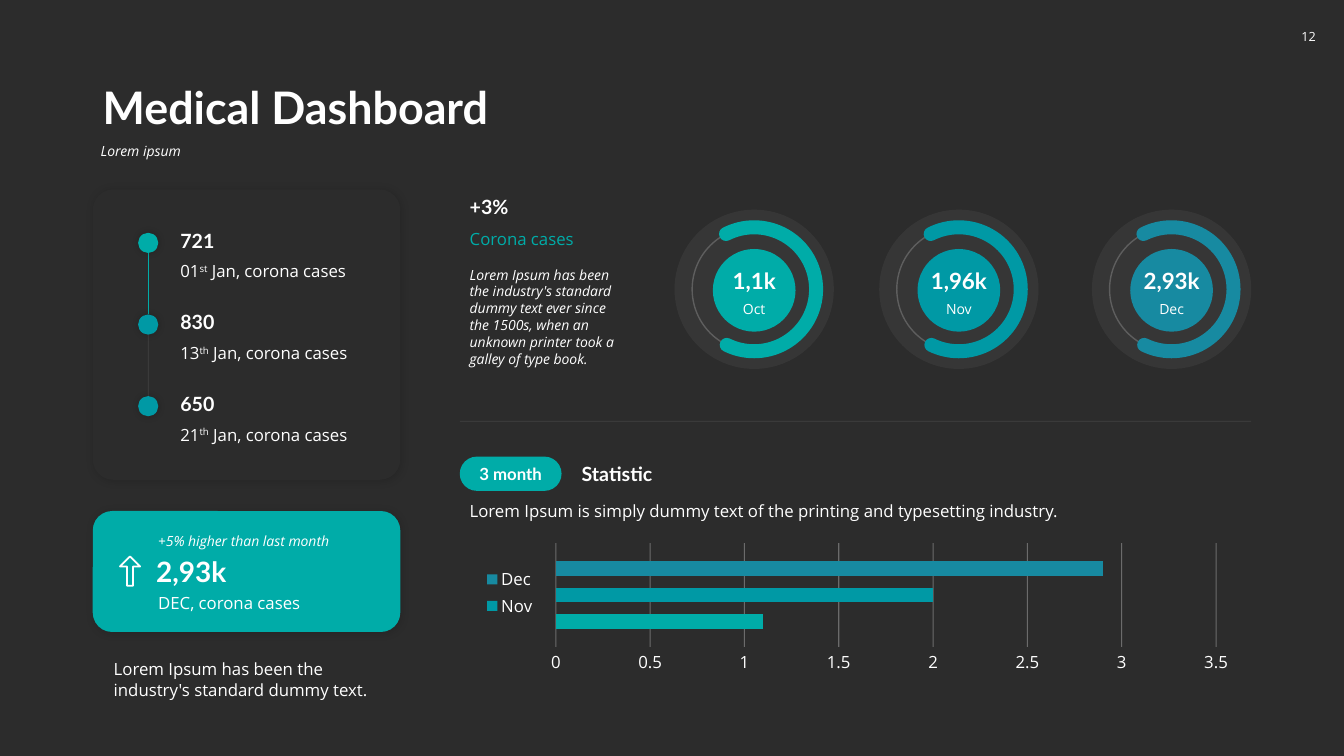
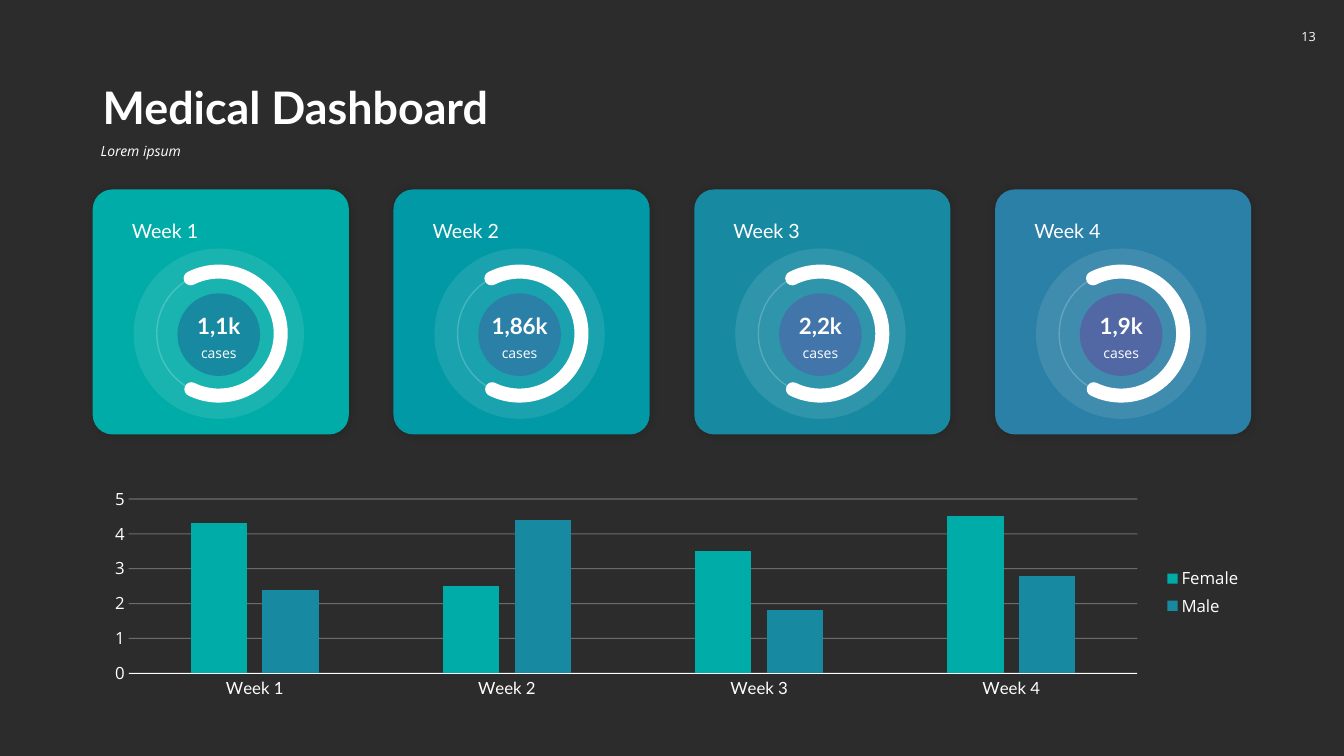
from lxml import etree
from pptx import Presentation
from pptx.chart.data import CategoryChartData
from pptx.dml.color import RGBColor
from pptx.enum.chart import XL_CHART_TYPE, XL_LEGEND_POSITION, XL_TICK_MARK
from pptx.enum.shapes import MSO_CONNECTOR, MSO_SHAPE
from pptx.enum.text import MSO_ANCHOR, PP_ALIGN
from pptx.oxml.ns import qn
from pptx.util import Inches, Pt

ROUNDED, OVAL, ARC = MSO_SHAPE.ROUNDED_RECTANGLE, MSO_SHAPE.OVAL, MSO_SHAPE.ARC
UP_ARROW = MSO_SHAPE.UP_ARROW
STRAIGHT = MSO_CONNECTOR.STRAIGHT
TOP, MIDDLE, BOTTOM = MSO_ANCHOR.TOP, MSO_ANCHOR.MIDDLE, MSO_ANCHOR.BOTTOM
LEFT, CENTER = PP_ALIGN.LEFT, PP_ALIGN.CENTER
BARS, COLUMNS = XL_CHART_TYPE.BAR_CLUSTERED, XL_CHART_TYPE.COLUMN_CLUSTERED
LEGEND_LEFT, LEGEND_RIGHT = XL_LEGEND_POSITION.LEFT, XL_LEGEND_POSITION.RIGHT
NO_TICKS = XL_TICK_MARK.NONE

HEAD_FONT, BODY_FONT = "Lato", "Open Sans"
DARK, WHITE = "2C2C2C", "FFFFFF"
TEAL, CYAN, OCEAN, BLUE = "00ACA8", "0099A5", "178AA1", "2A80A6"
INDIGO, VIOLET = "4276AA", "5268A5"
MARGIN, RIGHT_EDGE = 0.92, 12.41
CARD_SHADOW = (15, 6, 1)  # opacity %, blur pt, distance pt
DOT_SHADOW = (20, 5, 0)


# --- Formatting helpers ---
def rgb(color):
    return RGBColor.from_string(color)


def paint(fill, color):
    fill.solid()
    fill.fore_color.rgb = rgb(color)


def fade(element, percent):
    for color in element.iter(qn("a:srgbClr")):
        etree.SubElement(color, qn("a:alpha"), val=str(percent * 1000))


def add_shadow(shape, opacity, blur, distance):
    effects = shape.element.spPr.find(qn("a:effectLst"))
    outer = etree.SubElement(effects, qn("a:outerShdw"), blurRad=str(Pt(blur)),
                             dist=str(Pt(distance)), dir=str(45 * 60000))
    etree.SubElement(outer, qn("a:srgbClr"), val="000000")
    fade(outer, opacity)


def style(font, size, name=BODY_FONT, color=WHITE):
    font.size, font.name = Pt(size), name
    font.color.rgb = rgb(color)


def write(frame, text, size=12, font=BODY_FONT, color=WHITE, bold=False,
          italic=False, align=LEFT, anchor=TOP, spacing=None, wrap=True):
    """Parts between carets are set as superscript."""
    frame.word_wrap = wrap
    frame.vertical_anchor = anchor
    paragraph = frame.paragraphs[0]
    paragraph.alignment = align
    paragraph.line_spacing = spacing
    for index, part in enumerate(text.split("^")):
        run = paragraph.add_run()
        run.text = part
        style(run.font, size, font, color)
        run.font.bold, run.font.italic = bold, italic
        if index % 2:
            run._r.get_or_add_rPr().set("baseline", "30000")


# --- Element builders ---
def add_text(slide, text, x, y, w, h, **style_args):
    box = slide.shapes.add_textbox(Inches(x), Inches(y), Inches(w), Inches(h))
    write(box.text_frame, text, **style_args)


def add_heading(slide, text, x, y, w, h=0.34, **style_args):
    options = dict(size=14, font=HEAD_FONT, bold=True, anchor=BOTTOM)
    add_text(slide, text, x, y, w, h, **{**options, **style_args})


def add_figure(slide, kind, x, y, w, h, fill=None, line=None, width=1,
               alpha=None, adjust=(), shadow=None):
    shape = slide.shapes.add_shape(kind, Inches(x), Inches(y), Inches(w), Inches(h))
    shape.shadow.inherit = False
    for index, value in enumerate(adjust):
        shape.adjustments[index] = value
    if fill:
        paint(shape.fill, fill)
    else:
        shape.fill.background()
    if line:
        paint(shape.line.fill, line)
        shape.line.width = Pt(width)
    else:
        shape.line.fill.background()
    if alpha:
        fade(shape.element.spPr, alpha)
    if shadow:
        add_shadow(shape, *shadow)
    return shape


def add_circle(slide, cx, cy, size, kind=OVAL, **look):
    return add_figure(slide, kind, cx - size / 2, cy - size / 2, size, size, **look)


def add_rule(slide, x1, y1, x2, y2, color=WHITE, alpha=None):
    rule = slide.shapes.add_connector(
        STRAIGHT, Inches(x1), Inches(y1), Inches(x2), Inches(y2))
    paint(rule.line.fill, color)
    rule.line.width = Pt(0.5)
    if alpha:
        fade(rule.element.spPr, alpha)
    etree.SubElement(rule.element.spPr, qn("a:effectLst"))


def add_gauge(slide, cx, cy, value, label, arc_color, disc_color, halo, halo_alpha):
    add_circle(slide, cx, cy, halo, fill=WHITE, alpha=halo_alpha)
    add_circle(slide, cx, cy, 1.23, line=WHITE, alpha=20)
    arc = add_circle(slide, cx, cy, 1.23, kind=ARC, line=arc_color, width=10,
                     adjust=(145.85, 69.71))
    arc.element.spPr.find(qn("a:ln")).set("cap", "rnd")
    add_circle(slide, cx, cy + 0.01, 0.82, fill=disc_color)
    left = cx - 0.41
    add_heading(slide, value, left, cy - 0.27, 0.82, 0.37, size=16, align=CENTER)
    add_text(slide, label, left, cy + 0.06, 0.82, 0.27, size=10, align=CENTER)


def manual_layout(box, frame_size, inner=False):
    """Place a chart part; box and frame_size are in inches."""
    layout = etree.Element(qn("c:layout"))
    manual = etree.SubElement(layout, qn("c:manualLayout"))
    if inner:
        etree.SubElement(manual, qn("c:layoutTarget"), val="inner")
    for tag in ("xMode", "yMode"):
        etree.SubElement(manual, qn("c:" + tag), val="edge")
    for tag, length, whole in zip("xywh", box, frame_size * 2):
        etree.SubElement(manual, qn("c:" + tag), val=f"{length / whole:.3f}")
    return layout


def add_bar_chart(slide, kind, x, y, w, h, categories, series, plot_box,
                  gap, overlap, top_value, step, legend_side):
    data = CategoryChartData()
    data.categories = categories
    for name, values, _ in series:
        data.add_series(name, values)
    chart = slide.shapes.add_chart(
        kind, Inches(x), Inches(y), Inches(w), Inches(h), data).chart
    chart.has_title = False
    style(chart.font, 10)

    plot = chart.plots[0]
    plot.gap_width, plot.overlap = gap, overlap
    plot.vary_by_categories = False
    for bars, (_, _, color) in zip(plot.series, series):
        paint(bars.format.fill, color)

    value_axis = chart.value_axis
    value_axis.minimum_scale, value_axis.maximum_scale = 0, top_value
    value_axis.major_unit = step
    value_axis.major_tick_mark = NO_TICKS
    value_axis.format.line.fill.background()
    style(value_axis.tick_labels.font, 12)
    grid = value_axis.major_gridlines.format.line
    paint(grid.fill, WHITE)
    grid.width = Pt(0.75)
    fade(value_axis._element.find(qn("c:majorGridlines")), 30)

    chart.has_legend = True
    chart.legend.position = legend_side
    chart.legend.include_in_layout = False
    style(chart.legend.font, 12)

    plot_area = chart._chartSpace.chart.plotArea
    for old_layout in plot_area.findall(qn("c:layout")):
        plot_area.remove(old_layout)
    plot_area.insert(0, manual_layout(plot_box, (w, h), inner=True))
    return chart


def add_base(prs, number):
    """Background, title, subtitle and page number shared by the slides."""
    slide = prs.slides.add_slide(prs.slide_layouts[6])
    paint(slide.background.fill, DARK)
    add_heading(slide, "Medical Dashboard", MARGIN, 0.58, 11.5, 0.8, size=32, spacing=0.9)
    add_text(slide, "Lorem ipsum", 0.9, 1.38, 11.52, 0.36, size=10, italic=True,
             spacing=0.9)
    badge = add_figure(slide, ROUNDED, 12.8, 0.18, 0.36, 0.36, fill=DARK, adjust=(0.27,))
    badge.text_frame.margin_left = badge.text_frame.margin_right = 0
    write(badge.text_frame, str(number), size=9, align=CENTER, anchor=MIDDLE, wrap=False)
    return slide


# --- Slide sections ---
def add_timeline(slide):
    add_figure(slide, ROUNDED, MARGIN, 1.88, 3.05, 2.88, fill=DARK,
               adjust=(0.07,), shadow=CARD_SHADOW)
    axis_x, first_y, pitch = 1.47, 2.41, 0.81
    events = [("721", "01^st^ Jan, corona cases", TEAL),
              ("830", "13^th^ Jan, corona cases", CYAN),
              ("650", "21^th^ Jan, corona cases", CYAN)]
    links = [(TEAL, None), (WHITE, 10)]
    for index, (color, alpha) in enumerate(links):
        y = first_y + index * pitch
        add_rule(slide, axis_x, y + 0.1, axis_x, y + pitch - 0.1, color, alpha)
    for index, (count, caption, color) in enumerate(events):
        y = first_y + index * pitch
        add_circle(slide, axis_x, y, 0.2, fill=color, shadow=DOT_SHADOW)
        add_heading(slide, count, 1.69, y - 0.2, 2.06)
        add_text(slide, caption, 1.69, y + 0.13, 2.06, 0.3)


def add_total_card(slide):
    add_figure(slide, ROUNDED, MARGIN, 5.07, 3.05, 1.2, fill=TEAL,
               adjust=(0.16,), shadow=CARD_SHADOW)
    add_figure(slide, UP_ARROW, 1.19, 5.52, 0.2, 0.29, line=WHITE, width=1.25,
               adjust=(0.3, 0.5))
    add_text(slide, "+5% higher than last month", 1.47, 5.23, 2.28, 0.27,
             size=10, italic=True)
    add_heading(slide, "2,93k", 1.45, 5.45, 2.3, 0.44, size=20, anchor=MIDDLE)
    add_text(slide, "DEC, corona cases", 1.47, 5.83, 2.28, 0.3)
    add_text(slide, "Lorem Ipsum has been the industry's standard dummy text.",
             1.03, 6.49, 2.94, 0.5)


def add_growth(slide, left):
    add_heading(slide, "+3%", left, 1.88, 1.65)
    add_text(slide, "Corona cases", left, 2.22, 1.65, 0.3, color=TEAL)
    add_text(slide, "Lorem Ipsum has been the industry's standard dummy text ever since "
             "the 1500s, when an unknown printer took a galley of type book.",
             left, 2.59, 1.65, 1.11, size=10, italic=True)
    gauges = [(7.48, "1,1k", "Oct", TEAL), (9.51, "1,96k", "Nov", CYAN),
              (11.62, "2,93k", "Dec", OCEAN)]
    for cx, value, month, color in gauges:
        add_gauge(slide, cx, 2.87, value, month, color, color, 1.58, 5)


def add_statistic(slide, left):
    add_rule(slide, left, 4.18, RIGHT_EDGE, 4.18, alpha=10)
    pill = add_figure(slide, ROUNDED, left, 4.53, 1.01, 0.34, fill=TEAL, adjust=(0.5,))
    frame = pill.text_frame
    frame.margin_left = frame.margin_right = frame.margin_top = frame.margin_bottom = 0
    write(frame, "3 month", font=HEAD_FONT, bold=True, align=CENTER, anchor=MIDDLE)
    add_heading(slide, "Statistic", 5.67, 4.53, 4.94)
    add_text(slide, "Lorem Ipsum is simply dummy text of the printing and "
             "typesetting industry.", left, 4.92, 6.05, 0.3)

    width, height = 7.66, 1.35
    months = [("Oct", [1.1], TEAL), ("Nov", [2.0], CYAN), ("Dec", [2.9], OCEAN)]
    chart = add_bar_chart(slide, BARS, 4.67, 5.36, width, height, ["1"], months,
                          (0.84, 0.03, 6.55, 1.03), 250, -80, 3.5, 0.5, LEGEND_LEFT)
    chart.category_axis.visible = False
    # The legend runs from Dec down and leaves out its last entry
    side = chart.legend._element.find(qn("c:legendPos"))
    side.addnext(manual_layout((0.04, 0.24, 0.7, 0.56), (width, height)))
    hidden = etree.Element(qn("c:legendEntry"))
    etree.SubElement(hidden, qn("c:idx"), val=str(len(months) - 1))
    etree.SubElement(hidden, qn("c:delete"), val="1")
    side.addnext(hidden)


def add_week_cards(slide):
    weeks = [("1,1k", TEAL, OCEAN), ("1,86k", CYAN, BLUE),
             ("2,2k", OCEAN, INDIGO), ("1,9k", BLUE, VIOLET)]
    card_width = 2.54
    pitch = (RIGHT_EDGE - MARGIN - card_width) / (len(weeks) - 1)
    for index, (value, card_color, disc_color) in enumerate(weeks):
        x = MARGIN + index * pitch
        add_figure(slide, ROUNDED, x, 1.88, card_width, 2.43, fill=card_color,
                   adjust=(0.08,), shadow=CARD_SHADOW)
        add_gauge(slide, x + 1.25, 3.31, value, "cases", WHITE, disc_color, 1.69, 10)
        add_heading(slide, f"Week {index + 1}", x + 0.29, 2.12, 1.94, bold=False,
                    anchor=TOP)


def add_week_chart(slide):
    groups = [("Female", [4.3, 2.5, 3.5, 4.5], TEAL), ("Male", [2.4, 4.4, 1.8, 2.8], OCEAN)]
    chart = add_bar_chart(slide, COLUMNS, MARGIN, 4.79, 11.5, 2.17,
                          [f"Week {n}" for n in range(1, 5)], groups,
                          (0.36, 0.16, 10.01, 1.73), 219, -27, 5, 1, LEGEND_RIGHT)
    week_axis = chart.category_axis
    week_axis.major_tick_mark = NO_TICKS
    paint(week_axis.format.line.fill, WHITE)
    week_axis.format.line.width = Pt(0.75)
    style(week_axis.tick_labels.font, 12, HEAD_FONT)


def main():
    prs = Presentation()
    prs.slide_width, prs.slide_height = Inches(13.33), Inches(7.5)
    overview = add_base(prs, 12)
    add_timeline(overview)
    add_total_card(overview)
    add_growth(overview, 4.56)
    add_statistic(overview, 4.56)
    weekly = add_base(prs, 13)
    add_week_cards(weekly)
    add_week_chart(weekly)
    prs.save("out.pptx")


if __name__ == "__main__":
    main()
